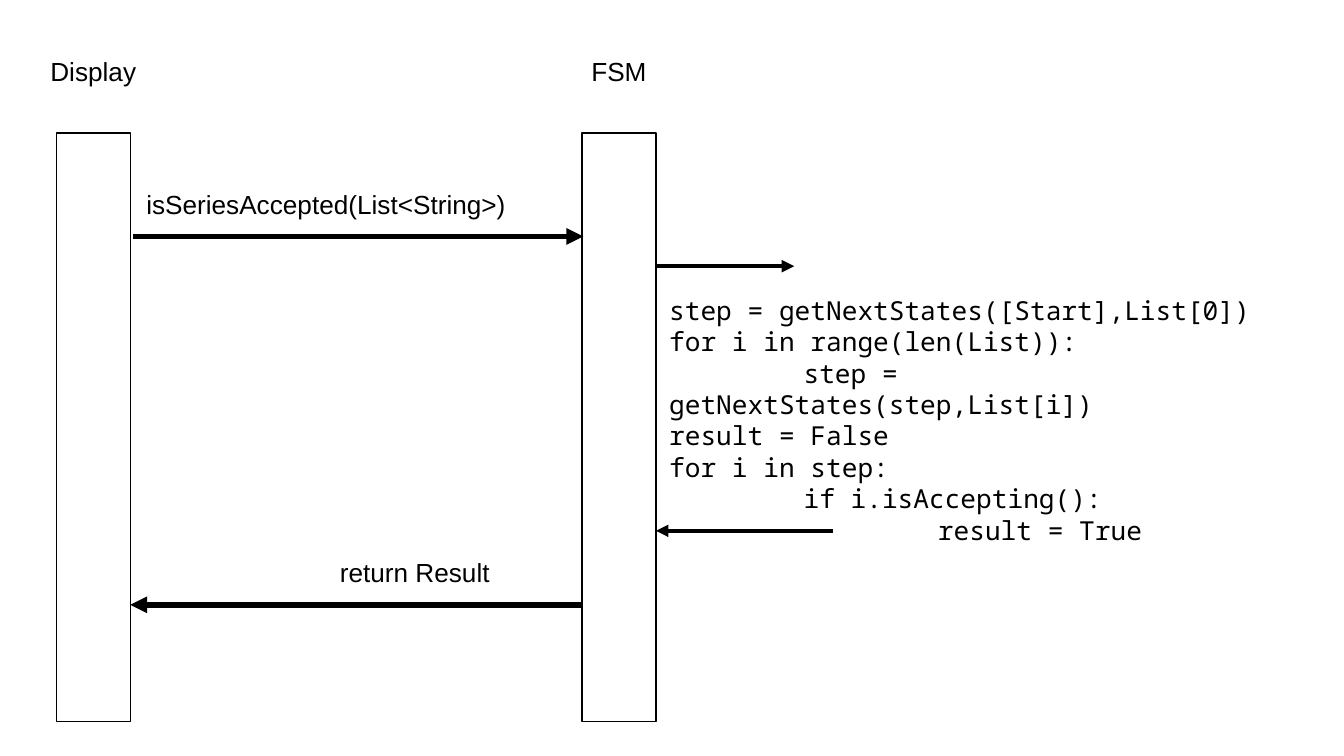
from dataclasses import dataclass

from lxml import etree
from pptx import Presentation
from pptx.dml.color import RGBColor
from pptx.enum.shapes import MSO_CONNECTOR, MSO_SHAPE
from pptx.enum.text import MSO_ANCHOR, PP_ALIGN
from pptx.oxml.ns import qn
from pptx.util import Pt

RECTANGLE = MSO_SHAPE.RECTANGLE
STRAIGHT = MSO_CONNECTOR.STRAIGHT
TOP = MSO_ANCHOR.TOP
LEFT, CENTER = PP_ALIGN.LEFT, PP_ALIGN.CENTER

BLACK, WHITE = "000000", "FFFFFF"
SANS, MONO = "Arial", "Noto Sans Mono"
LIFELINE_TOP, LIFELINE_WIDTH, LIFELINE_HEIGHT = 71.3, 39.6, 315.4
LABEL_WIDTH, LABEL_HEIGHT = 68.4, 33.1
INSET, TAB_STEP = 7.2, 72


@dataclass
class Lifeline:
    name: str
    left: float

    @property
    def center(self) -> float:
        return self.left + LIFELINE_WIDTH / 2

    @property
    def right(self) -> float:
        return self.left + LIFELINE_WIDTH


@dataclass
class Arrow:
    start: float
    end: float
    y: float
    weight: float


@dataclass
class Caption:
    text: str
    left: float
    top: float
    width: float


def color(hex_code: str) -> RGBColor:
    return RGBColor.from_string(hex_code)


def add_text(slide, text: str, left: float, top: float, width: float,
             height: float = LABEL_HEIGHT, *, font: str = SANS,
             size: float = 14, align=LEFT, tab_stops: int = 0) -> None:
    box = slide.shapes.add_textbox(Pt(left), Pt(top), Pt(width), Pt(height))
    frame = box.text_frame
    frame.word_wrap = True
    frame.vertical_anchor = TOP
    frame.margin_left = frame.margin_right = Pt(INSET)
    frame.margin_top = frame.margin_bottom = Pt(INSET)
    frame.text = text
    for paragraph in frame.paragraphs:
        paragraph.alignment = align
        if tab_stops:
            tabs = etree.SubElement(paragraph._p.get_or_add_pPr(), qn("a:tabLst"))
            for stop in range(1, tab_stops + 1):
                etree.SubElement(tabs, qn("a:tab"),
                                 pos=str(Pt(stop * TAB_STEP)), algn="l")
        for run in paragraph.runs:
            run.font.name = font
            run.font.size = Pt(size)
            run.font.color.rgb = color(BLACK)


def add_lifeline(slide, lifeline: Lifeline) -> None:
    bar = slide.shapes.add_shape(RECTANGLE, Pt(lifeline.left), Pt(LIFELINE_TOP),
                                 Pt(LIFELINE_WIDTH), Pt(LIFELINE_HEIGHT))
    bar.shadow.inherit = False
    bar.fill.solid()
    bar.fill.fore_color.rgb = color(WHITE)
    bar.line.color.rgb = color(BLACK)
    bar.line.width = Pt(0.75)
    add_text(slide, lifeline.name, lifeline.center - LABEL_WIDTH / 2, 22.3,
             LABEL_WIDTH, align=CENTER)


def add_arrow(slide, arrow: Arrow) -> None:
    connector = slide.shapes.add_connector(STRAIGHT, Pt(arrow.start), Pt(arrow.y),
                                           Pt(arrow.end), Pt(arrow.y))
    connector.line.color.rgb = color(BLACK)
    connector.line.width = Pt(arrow.weight)
    etree.SubElement(connector.line._get_or_add_ln(), qn("a:tailEnd"),
                     type="triangle")
    etree.SubElement(connector._element.spPr, qn("a:effectLst"))


DISPLAY = Lifeline("Display", 30.2)
FSM = Lifeline("FSM", 311.8)

ARROWS = [
    Arrow(71.3, 312.5, 126.7, 3),
    Arrow(FSM.right, 425.5, 142.6, 2.25),
    Arrow(446.4, FSM.right, 284.4, 2.25),
    Arrow(FSM.left, DISPLAY.right, 324, 3),
]

CAPTIONS = [
    Caption("isSeriesAccepted(List<String>)", 71.3, 93.6, 240.5),
    Caption("return Result", 175, 290.9, 126.7),
]

ACCEPTANCE_CODE = "\n".join([
    "step = getNextStates([Start],List[0])",
    "for i in range(len(List)):",
    "\tstep = getNextStates(step,List[i])",
    "result = False",
    "for i in step:",
    "\tif i.isAccepting():",
    "\t\tresult = True",
])


def main() -> None:
    presentation = Presentation()
    presentation.slide_width, presentation.slide_height = Pt(720), Pt(405)
    slide = presentation.slides.add_slide(presentation.slide_layouts[6])

    # Lifelines with their names
    for lifeline in (DISPLAY, FSM):
        add_lifeline(slide, lifeline)

    # Messages
    for arrow in ARROWS:
        add_arrow(slide, arrow)
    for caption in CAPTIONS:
        add_text(slide, caption.text, caption.left, caption.top, caption.width)

    # Acceptance check inside the state machine
    add_text(slide, ACCEPTANCE_CODE, FSM.right, 150.5, 368.6, 126,
             font=MONO, tab_stops=2)

    presentation.save("out.pptx")


if __name__ == "__main__":
    main()
